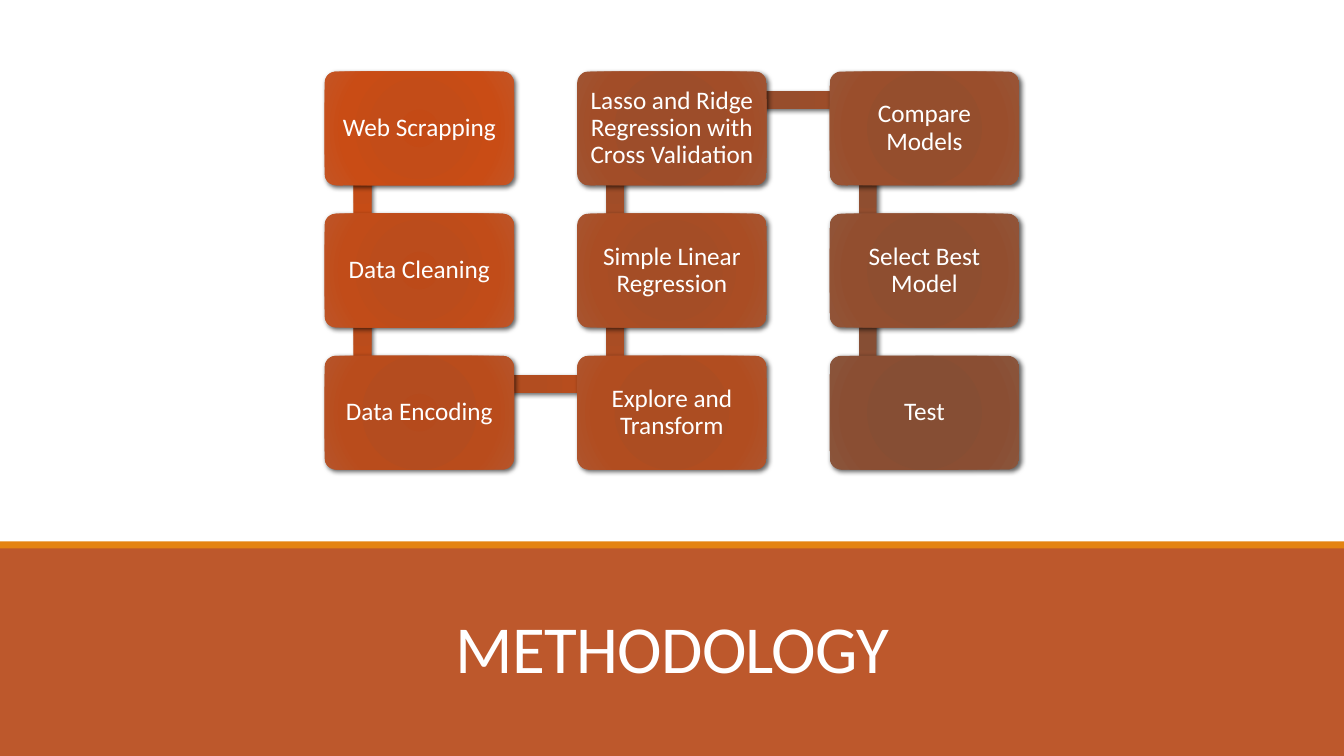
from dataclasses import dataclass

from lxml import etree
from pptx import Presentation
from pptx import util as u
from pptx.dml.color import RGBColor
from pptx.enum import shapes, text
from pptx.oxml import parse_xml
from pptx.oxml.ns import nsdecls


@dataclass(frozen=True)
class Theme:
    font: str = "Calibri"
    title_size: int = 48
    step_size: int = 18
    paper: str = "FFFFFF"
    band: str = "BD582C"
    rule: str = "E48312"
    # Gradient stops (position in percent, colour) of the first and last step
    first: tuple = ((0, "C44A15"), (34, "C34C18"), (70, "C94C15"), (100, "C45525"))
    last: tuple = ((0, "874C32"), (34, "864E34"), (70, "8A4E33"), (100, "8A553C"))


THEME = Theme()
WIDTH, HEIGHT = 13.33, 7.5
GRID_LEFT, GRID_TOP = 3.22, 0.71
COLUMN, ROW = 2.505, 1.41
BOX_W, BOX_H = COLUMN * 0.75, ROW * 0.8
BAR = 0.17
BAND_TOP = 5.42
RULE_H = 0.07

STEPS = [
    ("Web Scrapping", 0, 0),
    ("Data Cleaning", 0, 1),
    ("Data Encoding", 0, 2),
    ("Explore and Transform", 1, 2),
    ("Simple Linear Regression", 1, 1),
    ("Lasso and Ridge Regression with Cross Validation", 1, 0),
    ("Compare Models", 2, 0),
    ("Select Best Model", 2, 1),
    ("Test", 2, 2),
]


def add_block(slide, kind, left, top, width, height):
    sp = slide.shapes.add_shape(kind, *map(u.Inches, (left, top, width, height)))
    sp.shadow.inherit = False
    sp.line.fill.background()
    return sp


def add_band(slide, top, height, colour):
    sp = add_block(slide, shapes.MSO_SHAPE.RECTANGLE, 0, top, WIDTH, height)
    sp.fill.solid()
    sp.fill.fore_color.rgb = RGBColor.from_string(colour)


def blend(start, end, share):
    pairs = zip(bytes.fromhex(start), bytes.fromhex(end))
    return bytes(round(a + (b - a) * share) for a, b in pairs).hex().upper()


def shade(sp, share):
    """Give a round gradient, share of the way from first to last, and a shadow."""
    stops = "".join(
        f'<a:gs pos="{pos * 1000}"><a:srgbClr val="{blend(start, end, share)}"/></a:gs>'
        for (pos, start), (_, end) in zip(THEME.first, THEME.last)
    )
    gradient = parse_xml(
        f'<a:gradFill {nsdecls("a")} rotWithShape="1"><a:gsLst>{stops}</a:gsLst>'
        '<a:path path="circle"><a:fillToRect l="100000" t="100000" r="100000" b="100000"/>'
        "</a:path></a:gradFill>"
    )
    props = sp._element.spPr
    props.insert(2, gradient)
    effects = props.find("a:effectLst", {"a": gradient.nsmap["a"]})
    shadow = etree.SubElement(
        effects, f"{{{gradient.nsmap['a']}}}outerShdw",
        blurRad=str(u.Pt(3.5)), dist=str(u.Pt(2)), dir="2700000", rotWithShape="0",
    )
    shadow.append(parse_xml(
        f'<a:srgbClr {nsdecls("a")} val="000000"><a:alpha val="60000"/></a:srgbClr>'
    ))


def write(tf, words, size, spacing):
    tf.word_wrap = True
    p = tf.paragraphs[0]
    p.text = words
    p.alignment = text.PP_ALIGN.CENTER
    p.line_spacing = spacing
    p.font.name = THEME.font
    p.font.size = u.Pt(size)
    p.font.color.rgb = RGBColor.from_string(THEME.paper)
    return p


def cell(column, row):
    return GRID_LEFT + column * COLUMN, GRID_TOP + row * ROW


def add_link(slide, start, end, share):
    """Lay a bar between the points a fifth across and a quarter down two boxes."""
    (x1, y1), (x2, y2) = sorted((cell(*start), cell(*end)))
    left, top = x1 + BOX_W / 5, y1 + BOX_H / 4
    if x1 == x2:
        frame = left - BAR / 2, top, BAR, y2 - y1
    else:
        frame = left, top - BAR / 2, x2 - x1, BAR
    shade(add_block(slide, shapes.MSO_SHAPE.RECTANGLE, *frame), share)


def add_step(slide, words, place, share):
    sp = add_block(slide, shapes.MSO_SHAPE.ROUNDED_RECTANGLE, *cell(*place), BOX_W, BOX_H)
    sp.adjustments[0] = 0.1
    shade(sp, share)
    tf = sp.text_frame
    tf.margin_left = tf.margin_right = tf.margin_top = tf.margin_bottom = u.Inches(0.1)
    tf.vertical_anchor = text.MSO_ANCHOR.MIDDLE
    write(tf, words, THEME.step_size, 0.9)


def add_title(slide, words):
    title = slide.shapes.title
    title.left, title.top = u.Inches(1.17), u.Inches(5.74)
    title.width, title.height = u.Inches(11), u.Inches(1.13)
    tf = title.text_frame
    tf.auto_size = text.MSO_AUTO_SIZE.NONE
    tf.vertical_anchor = text.MSO_ANCHOR.BOTTOM
    p = write(tf, words, THEME.title_size, 0.85)
    p.runs[0].font._element.set("spc", "-50")


def main():
    prs = Presentation()
    prs.slide_width, prs.slide_height = u.Inches(WIDTH), u.Inches(HEIGHT)
    slide = prs.slides.add_slide(prs.slide_layouts[5])

    add_band(slide, BAND_TOP, HEIGHT - BAND_TOP, THEME.band)
    add_band(slide, BAND_TOP - RULE_H + 0.02, RULE_H, THEME.rule)
    # The title goes in front of the band
    tree = slide.shapes._spTree
    tree.append(slide.shapes.title._element)
    add_title(slide, "METHODOLOGY")

    last = len(STEPS) - 1
    for i, (words, *place) in enumerate(STEPS):
        if i < last:
            add_link(slide, place, STEPS[i + 1][1:], i / (last - 1))
        add_step(slide, words, place, i / last)

    prs.save("out.pptx")


if __name__ == "__main__":
    main()
